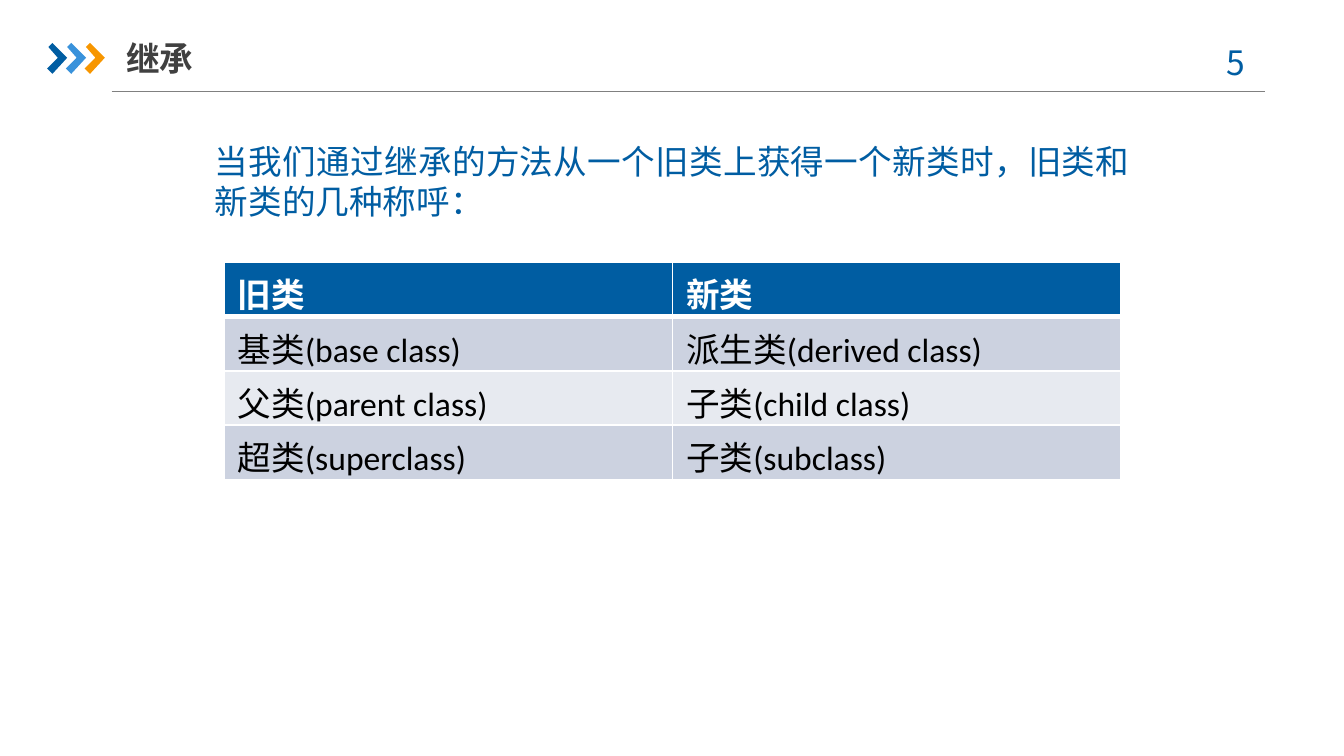
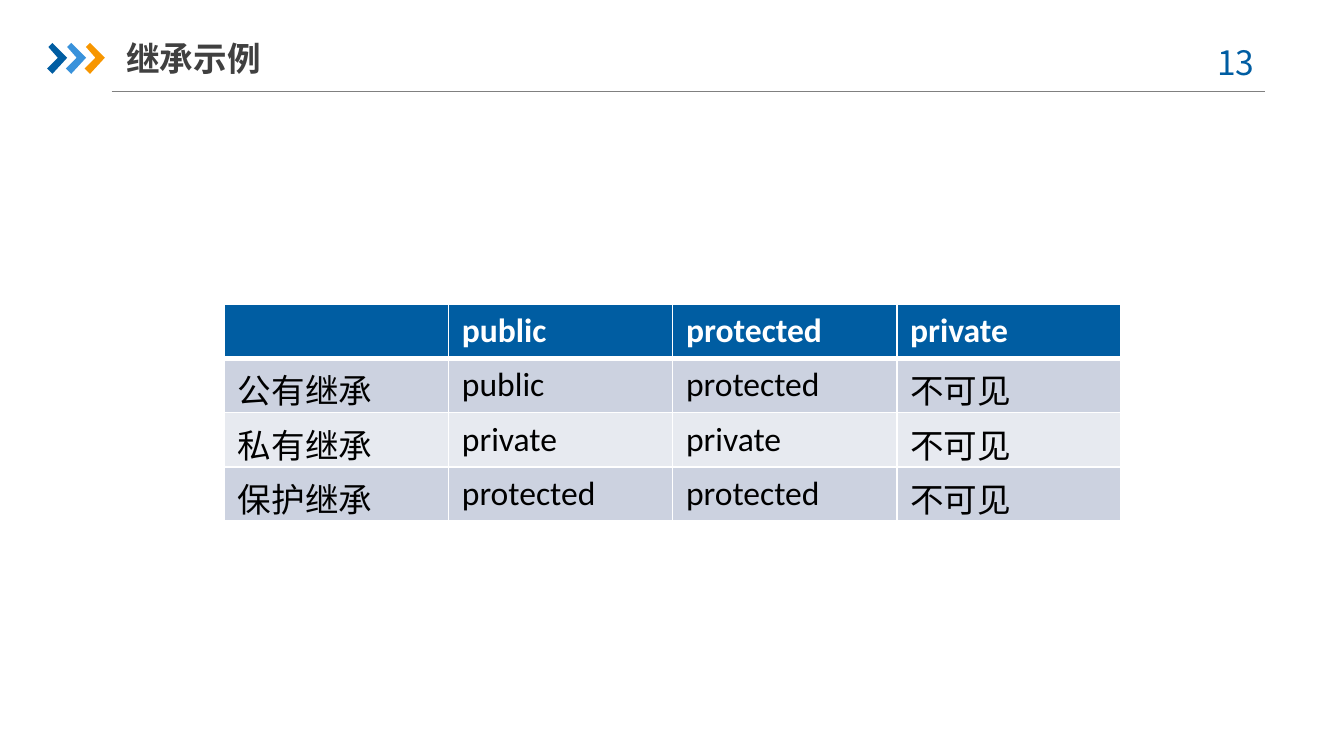
from dataclasses import dataclass
from typing import Any, Optional

from lxml.etree import SubElement
from pptx import Presentation
from pptx.dml.color import RGBColor
from pptx.enum.shapes import MSO_CONNECTOR
from pptx.enum.text import MSO_ANCHOR, MSO_AUTO_SIZE, PP_ALIGN
from pptx.oxml import parse_xml
from pptx.oxml.ns import nsdecls, qn
from pptx.slide import Slide
from pptx.util import Inches, Pt


@dataclass(frozen=True)
class Theme:
    blue: str = "005DA2"
    sky: str = "3992DB"
    gold: str = "F79600"
    dark: str = "404040"
    gray: str = "808080"
    white: str = "FFFFFF"
    black: str = "000000"
    band: str = "CCD2E0"
    pale: str = "E7EAF0"
    size: int = 18
    cjk: str = "Noto Sans CJK SC"
    latin: str = "Calibri"
    rule: float = 0.75
    thin: int = 1
    thick: int = 3


@dataclass(frozen=True)
class Box:
    left: float
    top: float
    width: float
    height: float

    def emu(self) -> tuple:
        return tuple(Inches(n) for n in (self.left, self.top, self.width, self.height))


@dataclass(frozen=True)
class Page:
    title: str
    number: int
    top: float
    rows: list[list[str]]
    intro: Optional[str] = None


THEME = Theme()
TITLE = Box(0.94, 0.22, 2.33, 0.42)
NUMBER = Box(8.86, 0.26, 0.73, 0.4)
INTRO = Box(1.5, 1, 7.01, 0.71)
# Chevron outline and step, in hundredths of an inch
ARROW = [(36, 35), (39, 32), (50, 43), (39, 55), (35, 51), (43, 43)]
STEP = 14

PAGES = [
    Page("继承", 5, 1.95, [
        ["旧类", "新类"],
        ["基类(base class)", "派生类(derived class)"],
        ["父类(parent class)", "子类(child class)"],
        ["超类(superclass)", "子类(subclass)"],
    ], "当我们通过继承的方法从一个旧类上获得一个新类时，旧类和新类的几种称呼："),
    Page("继承示例", 13, 2.26, [
        ["", "public", "protected", "private"],
        ["公有继承", "public", "protected", "不可见"],
        ["私有继承", "private", "private", "不可见"],
        ["保护继承", "protected", "protected", "不可见"],
    ]),
]


def dress(item: Any, **form: Any) -> None:
    """Set each format value on the item."""
    for key, val in form.items():
        setattr(item, key, val)


def write(frame: Any, text: str, color: str, bold: bool = False,
          face: str = THEME.cjk, **form: Any) -> None:
    """Put one run in the frame; form holds paragraph values."""
    para = frame.paragraphs[0]
    dress(para, **form)
    run = para.add_run()
    run.text = text
    dress(run.font, size=Pt(THEME.size), bold=bold, name=face)
    run.font.color.rgb = RGBColor.from_string(color)
    SubElement(run.font._element, qn("a:ea")).set("typeface", THEME.cjk)


def add_text(slide: Slide, box: Box, text: str, **form: Any) -> None:
    frame = slide.shapes.add_textbox(*box.emu()).text_frame
    dress(frame, word_wrap=True, auto_size=MSO_AUTO_SIZE.SHAPE_TO_FIT_TEXT)
    write(frame, text, THEME.blue, **form)


def add_head(slide: Slide, page: Page) -> None:
    """Draw the rule, chevrons, page number and title."""
    rule = slide.shapes.add_connector(
        MSO_CONNECTOR.STRAIGHT, Inches(0.83), Inches(0.68), Inches(9.41), Inches(0.68))
    rule.line.color.rgb = RGBColor.from_string(THEME.gray)
    rule.line.width = Pt(THEME.rule)
    SubElement(rule._element.spPr, qn("a:effectLst"))

    group = slide.shapes.add_group_shape()
    for i, color in enumerate((THEME.blue, THEME.sky, THEME.gold)):
        first, *rest = [(x + i * STEP, y) for x, y in ARROW]
        pen = group.shapes.build_freeform(*first, scale=Inches(0.01))
        pen.add_line_segments(rest, close=True)
        arrow = pen.convert_to_shape()
        arrow.shadow.inherit = False
        arrow.fill.solid()
        arrow.fill.fore_color.rgb = RGBColor.from_string(color)
        arrow.line.fill.background()

    add_text(slide, NUMBER, f"{page.number} ", alignment=PP_ALIGN.CENTER)

    title = slide.shapes.title
    dress(title, **dict(zip(("left", "top", "width", "height"), TITLE.emu())))
    dress(title.text_frame, margin_left=0, margin_right=0,
          margin_top=Inches(0.05), margin_bottom=Inches(0.05), word_wrap=True,
          vertical_anchor=MSO_ANCHOR.MIDDLE, auto_size=MSO_AUTO_SIZE.NONE)
    write(title.text_frame, page.title, THEME.dark, True, alignment=PP_ALIGN.LEFT)


def edge(cell: Any, row: int) -> None:
    """Draw white cell borders, with a thick one under the header."""
    wide = {"T": row == 1, "B": row == 0}
    for i, side in enumerate("LRTB"):
        width = Pt(THEME.thick if wide.get(side) else THEME.thin)
        line = parse_xml(
            f'<a:ln{side} {nsdecls("a")} w="{width}"><a:solidFill>'
            f'<a:srgbClr val="{THEME.white}"/></a:solidFill></a:ln{side}>')
        cell._tc.get_or_add_tcPr().insert(i, line)


def add_grid(slide: Slide, page: Page) -> None:
    rows, cols = len(page.rows), len(page.rows[0])
    box = Box(1.67, page.top, 6.67, 1.62)
    grid = slide.shapes.add_table(rows, cols, *box.emu()).table
    for r, line in enumerate(page.rows):
        head = r == 0
        fill = THEME.blue if head else THEME.band if r % 2 else THEME.pale
        for c, text in enumerate(line):
            cell = grid.cell(r, c)
            cell.fill.solid()
            cell.fill.fore_color.rgb = RGBColor.from_string(fill)
            edge(cell, r)
            if text:
                write(cell.text_frame, text, THEME.white if head else THEME.black,
                      head, THEME.latin)


def main() -> None:
    deck = Presentation()
    wide = Inches(10)
    dress(deck, slide_width=wide, slide_height=wide * 9 // 16)
    for page in PAGES:
        slide = deck.slides.add_slide(deck.slide_layouts[5])
        add_head(slide, page)
        if page.intro:
            add_text(slide, INTRO, page.intro, alignment=PP_ALIGN.JUSTIFY,
                     space_after=Pt(6))
        add_grid(slide, page)
    deck.save("out.pptx")


if __name__ == "__main__":
    main()
